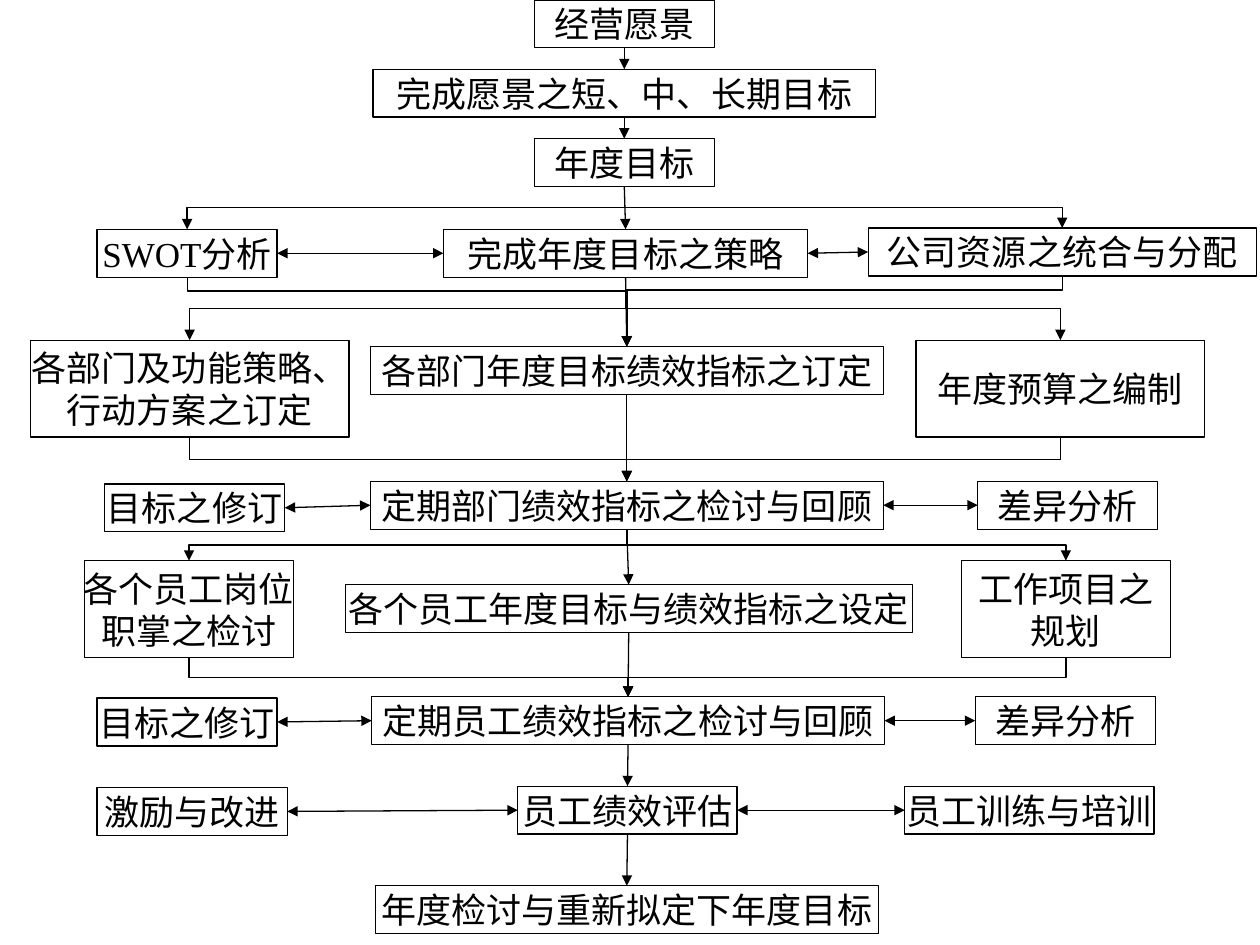
from itertools import pairwise
from lxml.etree import SubElement as Sub
from pptx import Presentation
from pptx.dml.color import RGBColor
from pptx.enum.shapes import MSO_CONNECTOR as Conn, MSO_SHAPE as Shape
from pptx.enum.text import MSO_ANCHOR as Anchor, MSO_AUTO_SIZE as Fit, PP_ALIGN as Align
from pptx.oxml.ns import qn
from pptx.util import Inches, Pt

COLS, ROWS = 100, 75
UNIT = Inches(10) // COLS
LOW, TALL = 3.8, 7.7
TOP, LEFT, BOTTOM, RIGHT = range(4)

# Each tier: top row, then its boxes as (text, column, drop, columns, rows)
TIERS = [
    (0, [("经营愿景", 42.4, 0, 14.3, LOW)]),
    (5.5, [("完成愿景之短、中、长期目标", 29.6, 0, 39.9, LOW)]),
    (11, [("年度目标", 42.4, 0, 14.3, LOW)]),
    (18.2, [("SWOT分析", 7.7, 0, 14.3, LOW),
            ("完成年度目标之策略", 35.2, 0, 28.9, LOW),
            ("公司资源之统合与分配", 68.9, -0.1, 30.8, LOW)]),
    (27, [("各部门及功能策略、\n行动方案之订定", 2.4, 0, 25.3, TALL),
          ("各部门年度目标绩效指标之订定", 29.4, 0.5, 40.7, LOW),
          ("年度预算之编制", 72.7, 0, 22.9, TALL)]),
    (38.2, [("目标之修订", 8.3, 0.2, 14.3, LOW),
            ("定期部门绩效指标之检讨与回顾", 29.4, 0, 40.7, LOW),
            ("差异分析", 77.6, 0, 14.3, LOW)]),
    (44.5, [("各个员工岗位\n职掌之检讨", 6.7, 0, 16.6, TALL),
            ("各个员工年度目标与绩效指标之设定", 27.4, 1.9, 45, LOW),
            ("工作项目之\n规划", 76.3, 0, 16.6, TALL)]),
    (55.3, [("目标之修订", 7.7, 0.1, 14.3, LOW),
            ("定期员工绩效指标之检讨与回顾", 29.5, 0, 40.7, LOW),
            ("差异分析", 77.4, 0, 14.3, LOW)]),
    (62.4, [("激励与改进", 7.7, 0.1, 15.1, LOW),
            ("员工绩效评估", 41.1, 0, 17.4, LOW),
            ("员工训练与培训", 71.8, 0, 19.8, LOW)]),
    (70.3, [("年度检讨与重新拟定下年度目标", 29.8, 0, 39.9, LOW)]),
]
PAIRED = (3, 5, 7, 8)               # tiers with two-way side links
FORKS = ((2, 3), (3, 4), (5, 6))    # centre out to the sides below
JOINS = ((3, 4, 0.2), (4, 5, 0.5), (6, 7, 0.5))  # sides into the centre below


def color(text):
    return RGBColor.from_string(text)


def style(item, **values):
    for name, value in values.items():
        setattr(item, name, value)


def ink(shape):
    shape.line.color.rgb = color("000000")
    shape.line.width = Pt(0.75)


def node(slide, text, box):
    shape = slide.shapes.add_shape(Shape.RECTANGLE, *(round(v * UNIT) for v in box))
    shape.shadow.inherit = False
    shape.fill.background()
    ink(shape)
    frame = shape.text_frame
    style(frame, text=text, word_wrap=False, auto_size=Fit.NONE,
          vertical_anchor=Anchor.MIDDLE)
    for para in frame.paragraphs:
        para.alignment = Align.CENTER
        style(para.font, size=Pt(20), name="Times New Roman")
        para.font.color.rgb = color("000000")
    return shape


def tier(slide, box, parts):
    """Place the parts of one tier in its box and return their shapes."""
    left, top = box[:2]
    return [node(slide, text, (left + x, top + drop, w, h))
            for text, x, drop, w, h in parts]


def finish(link, *ends):
    ink(link)
    line = link.line._get_or_add_ln()
    for end in ends:
        Sub(line, qn(f"a:{end}"), type="triangle")
    Sub(link._element.spPr, qn("a:effectLst"))


def arrow(slide, first, last, sides, *ends):
    link = slide.shapes.add_connector(Conn.STRAIGHT, 0, 0, 0, 0)
    link.begin_connect(first, sides[0])
    link.end_connect(last, sides[1])
    finish(link, *ends)


def elbow(slide, first, last, bend=0.5):
    """Run down, across and down from the foot of first to the head of last."""
    x1, x2 = (s.left + s.width // 2 for s in (first, last))
    y1, y2 = first.top + first.height, last.top
    wide, high = abs(x2 - x1), y2 - y1
    link = slide.shapes.add_connector(Conn.ELBOW, 0, 0, 0, 0)
    style(link, left=(x1 + x2 - high) // 2, top=(y1 + y2 - wide) // 2,
          width=high, height=wide)
    props = link._element.spPr
    frame = props.find(qn("a:xfrm"))
    turn = 270 if x2 > x1 else 90
    frame.set("rot", str(turn * 60000))
    if turn == 270:
        frame.set("flipH", "1")
    guides = props.find(qn("a:prstGeom")).find(qn("a:avLst"))
    Sub(guides, qn("a:gd"), name="adj1", fmla=f"val {round(bend * 100000)}")
    finish(link, "tailEnd")


def links(slide, tiers):
    mids = [row[len(row) // 2] for row in tiers]
    for upper, lower in pairwise(mids):
        arrow(slide, upper, lower, (BOTTOM, TOP), "tailEnd")
    for index in PAIRED:
        for first, last in pairwise(tiers[index]):
            arrow(slide, first, last, (RIGHT, LEFT), "headEnd", "tailEnd")
    for upper, lower in FORKS:
        for side in tiers[lower][::2]:
            elbow(slide, mids[upper], side)
    for upper, lower, bend in JOINS:
        for side in tiers[upper][::2]:
            elbow(slide, side, mids[lower], bend)


def main():
    deck = Presentation()
    style(deck, slide_width=COLS * UNIT, slide_height=ROWS * UNIT)
    slide = deck.slides.add_slide(deck.slide_layouts[6])
    links(slide, [tier(slide, (0, top, COLS, TALL), parts) for top, parts in TIERS])
    deck.save("out.pptx")


if __name__ == "__main__":
    main()
